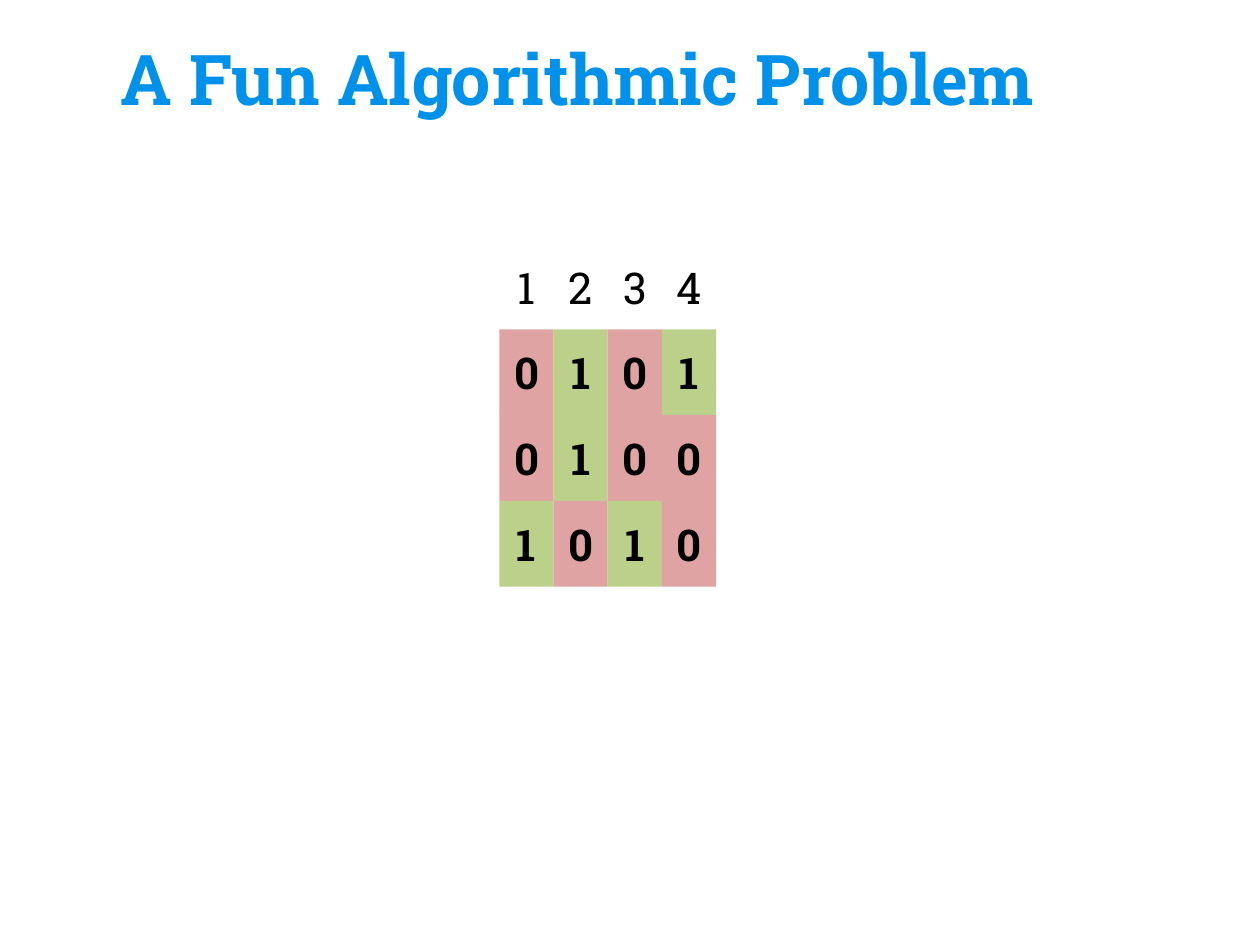
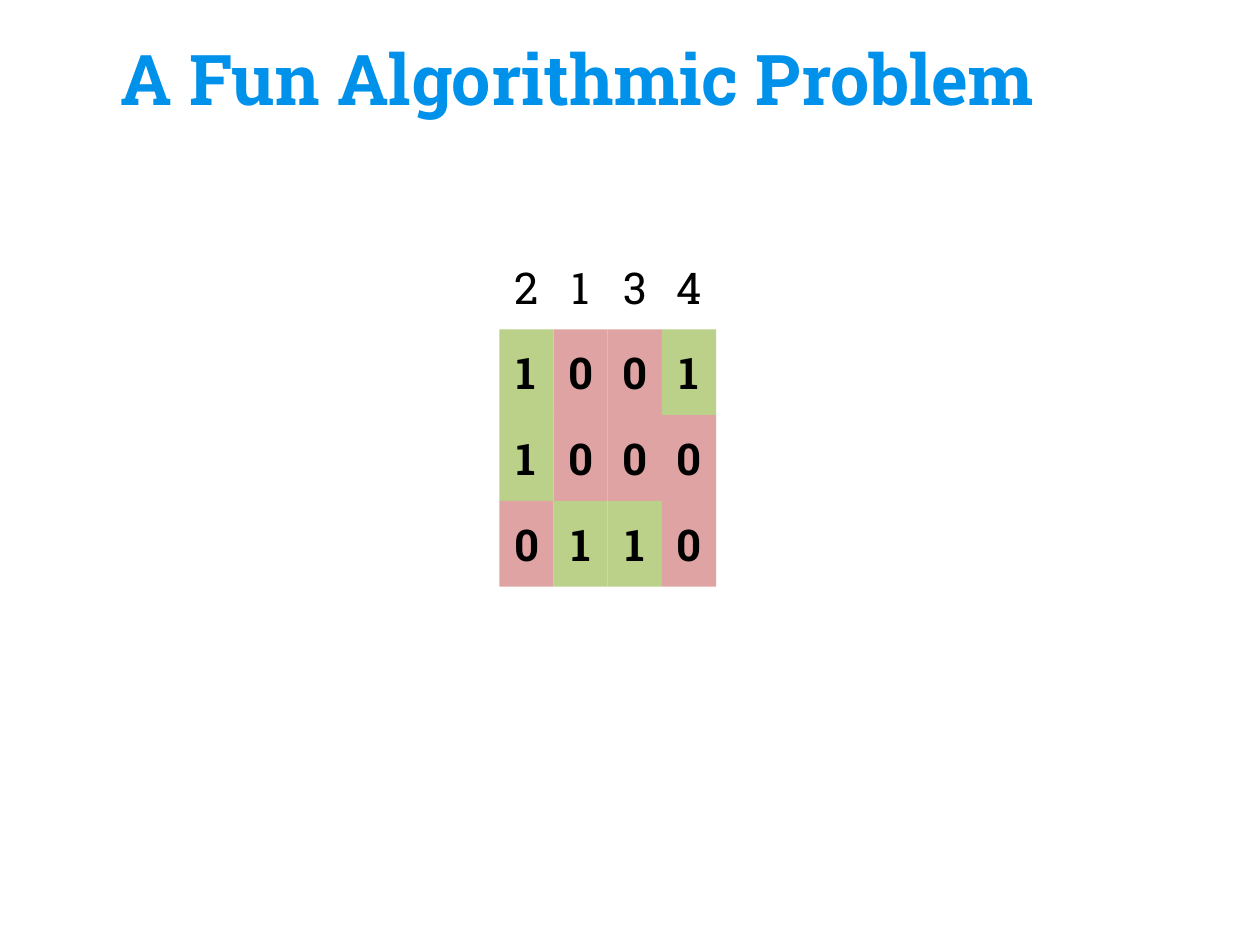
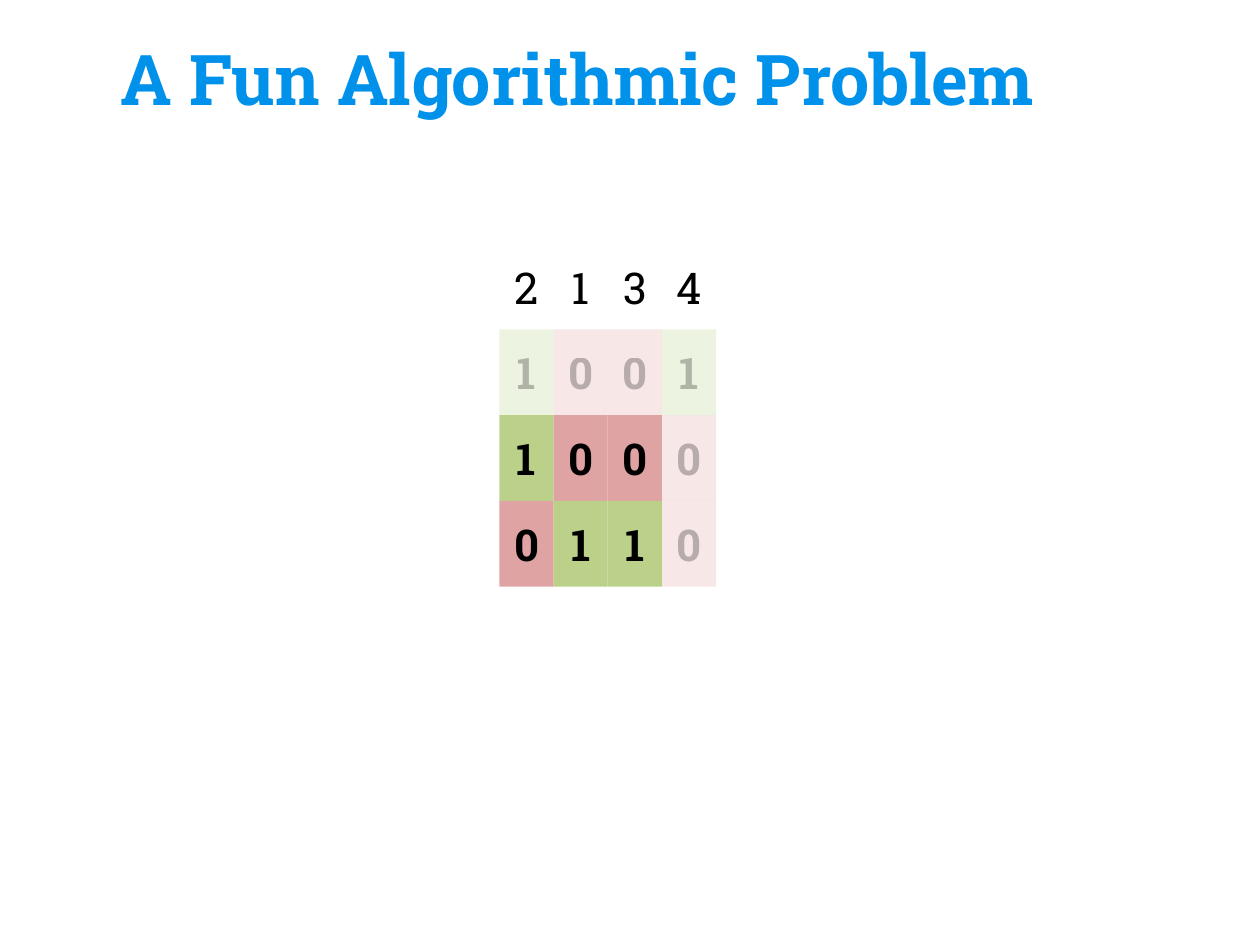
from dataclasses import dataclass

from lxml.etree import SubElement
from pptx import Presentation
from pptx.dml.color import RGBColor as Rgb
from pptx.enum.shapes import MSO_SHAPE as Shape
from pptx.enum.text import MSO_ANCHOR as Anchor, PP_ALIGN as Align
from pptx.oxml.ns import qn
from pptx.util import Pt


@dataclass(frozen=True)
class Theme:
    font: str = "Roboto Slab"
    title_color: Rgb = Rgb(0x00, 0x91, 0xEA)
    text_color: Rgb = Rgb(0x00, 0x00, 0x00)
    one_color: Rgb = Rgb(0xBB, 0xD1, 0x89)
    zero_color: Rgb = Rgb(0xE0, 0xA3, 0xA3)
    title_size: int = 40
    digit_size: int = 25
    inset: float = 7.2
    faded_percent: int = 25


TITLE = "A Fun Algorithmic Problem"
MATRIX_LEFT, MATRIX_TOP = 285.4, 139.2
CELL_WIDTH, CELL_HEIGHT = 30.95, 49
COLUMNS = {"1": "001", "2": "110", "3": "001", "4": "100"}


class SlideBuilder:
    def __init__(self, deck, theme):
        self.deck = deck
        self.theme = theme
        self.page = None

    def new_page(self):
        self.page = self.deck.slides.add_slide(self.deck.slide_layouts[6])
        self.title(TITLE)

    def add_text(self, box, text, size, color, bold=False,
                 align=Align.CENTER, anchor=Anchor.MIDDLE):
        frame = box.text_frame
        frame.word_wrap = True
        frame.vertical_anchor = anchor
        frame.margin_left = frame.margin_right = Pt(self.theme.inset)
        frame.margin_top = frame.margin_bottom = Pt(self.theme.inset)
        para = frame.paragraphs[0]
        para.alignment = align
        span = para.add_run()
        span.text = text
        span.font.name = self.theme.font
        span.font.size = Pt(size)
        span.font.bold = bold
        span.font.color.rgb = color

    def title(self, text):
        box = self.page.shapes.add_textbox(Pt(62), Pt(2), Pt(596), Pt(73.6))
        self.add_text(box, text, self.theme.title_size, self.theme.title_color,
                      bold=True, align=Align.LEFT, anchor=Anchor.BOTTOM)

    def label(self, shapes, place, text):
        box = shapes.add_textbox(*place)
        self.add_text(box, text, self.theme.digit_size, self.theme.text_color)

    def cell(self, shapes, place, digit):
        theme = self.theme
        box = shapes.add_shape(Shape.RECTANGLE, *place)
        box.shadow.inherit = False
        box.line.fill.background()
        box.fill.solid()
        box.fill.fore_color.rgb = theme.one_color if digit == "1" else theme.zero_color
        self.add_text(box, digit, theme.digit_size, theme.text_color, bold=True)
        return box

    def fade(self, box):
        """Make the fill and the text of a box partly transparent."""
        alpha = str(self.theme.faded_percent * 1000)
        for color in box.element.findall(".//" + qn("a:srgbClr")):
            SubElement(color, qn("a:alpha"), val=alpha)

    def matrix(self, order, chosen=None):
        """Draw the columns in order; fade the chosen one and the rows it covers."""
        covered = COLUMNS.get(chosen, "000")
        for column, name in enumerate(order):
            shapes = self.page.shapes.add_group_shape().shapes
            left = MATRIX_LEFT + column * CELL_WIDTH
            places = [(Pt(left), Pt(MATRIX_TOP + row * CELL_HEIGHT),
                       Pt(CELL_WIDTH), Pt(CELL_HEIGHT))
                      for row in range(len(covered) + 1)]
            self.label(shapes, places[0], name)
            for place, digit, cover in zip(places[1:], COLUMNS[name], covered):
                box = self.cell(shapes, place, digit)
                if name == chosen or cover == "1":
                    self.fade(box)


def main():
    deck = Presentation()
    deck.slide_width, deck.slide_height = Pt(720), Pt(540)
    builder = SlideBuilder(deck, Theme())
    for order, chosen in (("1234", None), ("2134", None), ("2134", "4")):
        builder.new_page()
        builder.matrix(order, chosen)
    deck.save("out.pptx")


if __name__ == "__main__":
    main()
